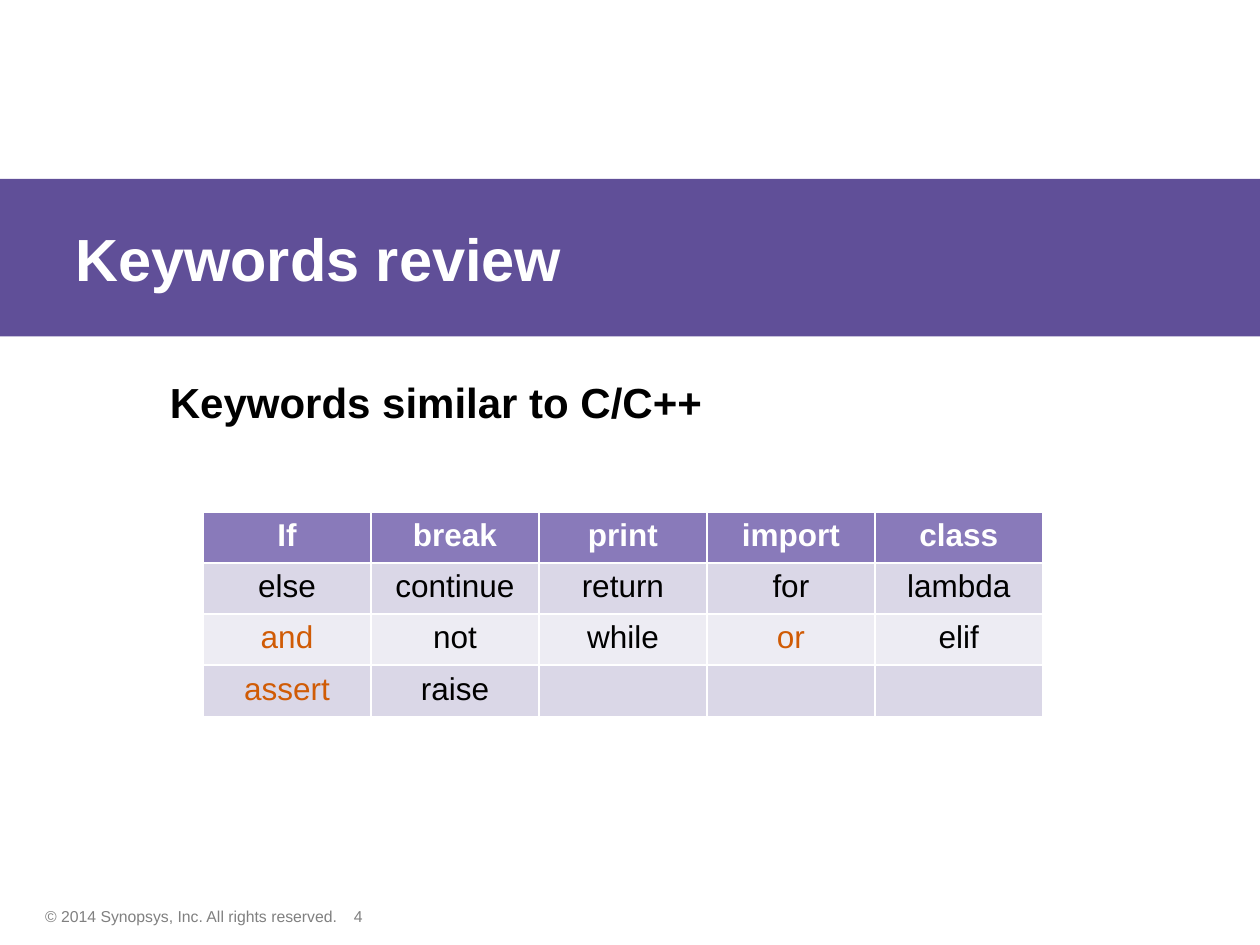
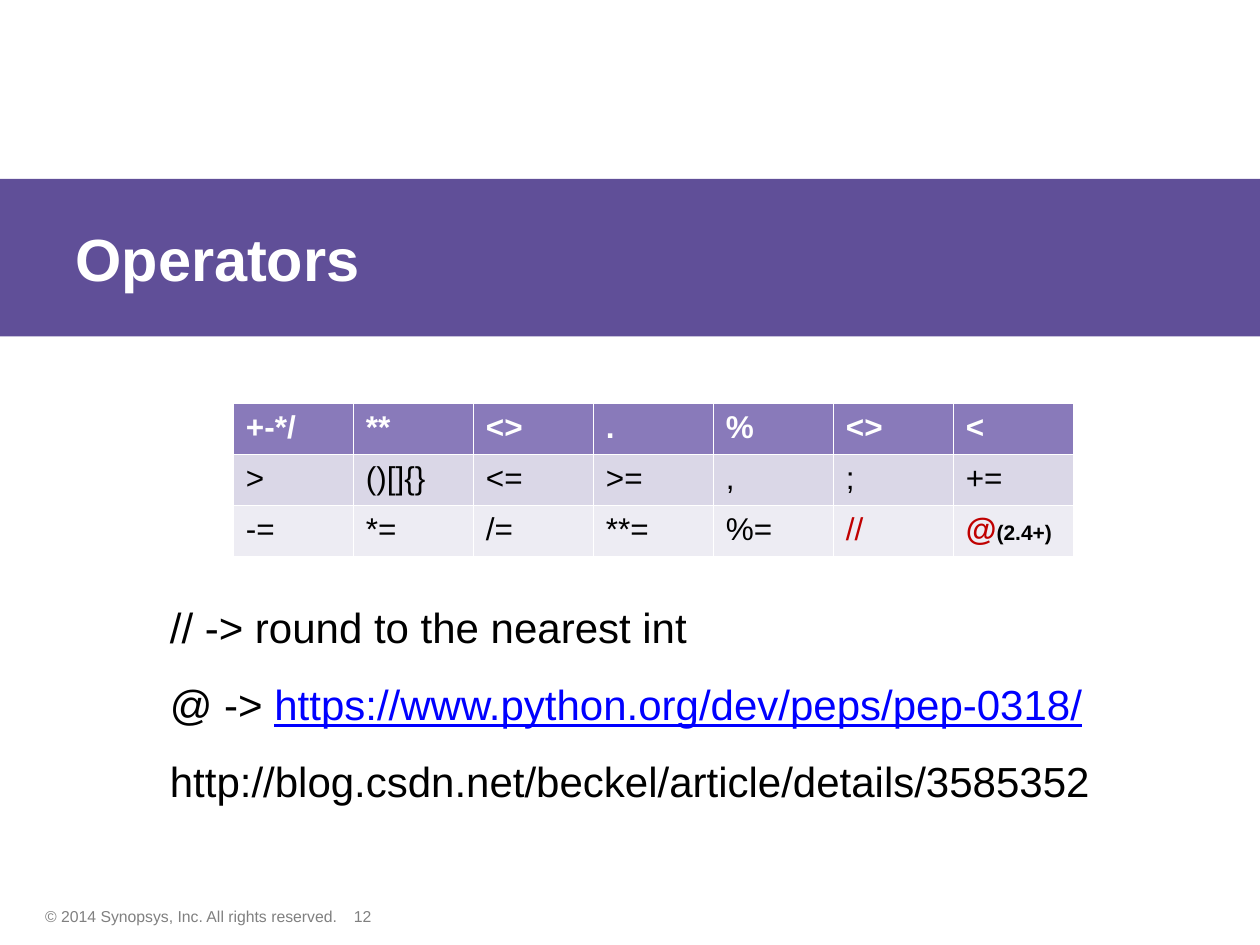
import dataclasses

import pptx
import pptx.dml.color
import pptx.enum.shapes
import pptx.enum.text
import pptx.util

Pt = pptx.util.Pt
RGB = pptx.dml.color.RGBColor.from_string
ALIGN = pptx.enum.text.PP_ALIGN


@dataclasses.dataclass(frozen=True)
class Theme:
    font: str = "Arial"
    white: str = "FFFFFF"
    black: str = "000000"
    grey: str = "808080"
    band: str = "604F98"
    header: str = "897ABA"
    rows: tuple = ("DAD7E7", "EDECF3")
    orange: str = "D05B05"
    red: str = "C00000"
    link: str = "0000FF"
    title_size: int = 34
    body_size: int = 24
    table_size: int = 18
    remark_size: int = 12
    footer_size: int = 9


theme = Theme()


def style(font, size, colour, bold=False):
    font.name = theme.font
    font.size = Pt(size)
    font.bold = bold
    font.color.rgb = RGB(colour)


def add_word_table(slide, left, top, words, align, accents):
    """Fill a table of equal cells; accents maps a word to its colour."""
    width, row_height = 480, 29.2
    table = slide.shapes.add_table(
        len(words), len(words[0]), Pt(left), Pt(top),
        Pt(width), Pt(row_height * len(words))).table
    for column in table.columns:
        column.width = Pt(width / len(words[0]))
    for row, row_words in enumerate(words):
        table.rows[row].height = Pt(row_height)
        is_header = row == 0
        for column, word in enumerate(row_words):
            cell = table.cell(row, column)
            cell.fill.solid()
            cell.fill.fore_color.rgb = RGB(
                theme.header if is_header else theme.rows[(row - 1) % 2])
            cell.text = word
            paragraph = cell.text_frame.paragraphs[0]
            paragraph.alignment = align
            colour = theme.white if is_header else accents.get(word, theme.black)
            style(paragraph.font, theme.table_size, colour, is_header)
    return table


presentation = pptx.Presentation()
presentation.slide_width = Pt(720)
presentation.slide_height = Pt(540)
title_only = presentation.slide_layouts[5]

# Shared frame: footer, band, title and an empty body
slides, bodies = [], []
for heading, number in (("Keywords review", "4"), ("Operators", "12")):
    slide = presentation.slides.add_slide(title_only)

    for text, left, width in (
            ("© 2014 Synopsys, Inc. All rights reserved.", 18.7, 221.8),
            (number, 195.1, 50.4)):
        footer = slide.shapes.add_textbox(Pt(left), Pt(514.8), Pt(width), Pt(18))
        footer.text_frame.word_wrap = True
        footer.text_frame.text = text
        style(footer.text_frame.paragraphs[0].font, theme.footer_size, theme.grey)

    band = slide.shapes.add_shape(
        pptx.enum.shapes.MSO_SHAPE.RECTANGLE, Pt(0), Pt(102.2), Pt(720), Pt(90))
    band.shadow.inherit = False
    band.fill.solid()
    band.fill.fore_color.rgb = RGB(theme.band)
    band.line.fill.background()

    title = slide.shapes.title
    title.left, title.top, title.width, title.height = (
        Pt(36), band.top, Pt(684), band.height)
    title.text_frame.text = heading
    title.text_frame.vertical_anchor = pptx.enum.text.MSO_ANCHOR.MIDDLE
    title_line = title.text_frame.paragraphs[0]
    title_line.alignment = ALIGN.LEFT
    style(title_line.font, theme.title_size, theme.white, True)
    band.element.addnext(title.element)  # the title lies above the band

    body = slide.shapes.add_textbox(Pt(90), Pt(211.7), Pt(594), Pt(280))
    body.text_frame.word_wrap = True
    slides.append(slide)
    bodies.append(body.text_frame)

keywords_slide, operators_slide = slides
keywords_body, operators_body = bodies

# Keywords review
keywords_body.text = "Keywords similar to C/C++"
style(keywords_body.paragraphs[0].font, theme.body_size, theme.black, True)

keywords = (
    ("If", "break", "print", "import", "class"),
    ("else", "continue", "return", "for", "lambda"),
    ("and", "not", "while", "or", "elif"),
    ("assert", "raise", "", "", ""),
)
add_word_table(keywords_slide, 116, 292.5, keywords, ALIGN.CENTER,
               dict.fromkeys(("and", "or", "assert"), theme.orange))

# Operators
operators_body.margin_top = Pt(132.2)  # the notes start below the table
notes = (
    ("// -> round to the nearest int", ""),
    ("@ -> ", "https://www.python.org/dev/peps/pep-0318/"),
    ("http://blog.csdn.net/beckel/article/details/3585352", ""),
)
for index, (note, address) in enumerate(notes):
    paragraph = operators_body.add_paragraph() if index else operators_body.paragraphs[0]
    if index:
        paragraph.space_before = Pt(15.25)
    style(paragraph.font, theme.body_size, theme.black)
    paragraph.add_run().text = note
    if address:
        address_run = paragraph.add_run()
        address_run.text = address
        address_run.font.color.rgb = RGB(theme.link)
        address_run.font.underline = True

operators = (
    ("+-*/", "**", "<>", ".", "%", "<>", "<"),
    (">", "()[]{}", "<=", ">=", ",", ";", "+="),
    ("-=", "*=", "/=", "**=", "%=", "//", "@"),
)
operator_table = add_word_table(operators_slide, 133.3, 230.5, operators, ALIGN.LEFT,
                                dict.fromkeys(("//", "@"), theme.red))
decorator = operator_table.cell(2, 6).text_frame.paragraphs[0]
decorator.font.bold = True
since_version = decorator.add_run()
since_version.text = "(2.4+)"
style(since_version.font, theme.remark_size, theme.black, True)

presentation.save("out.pptx")
